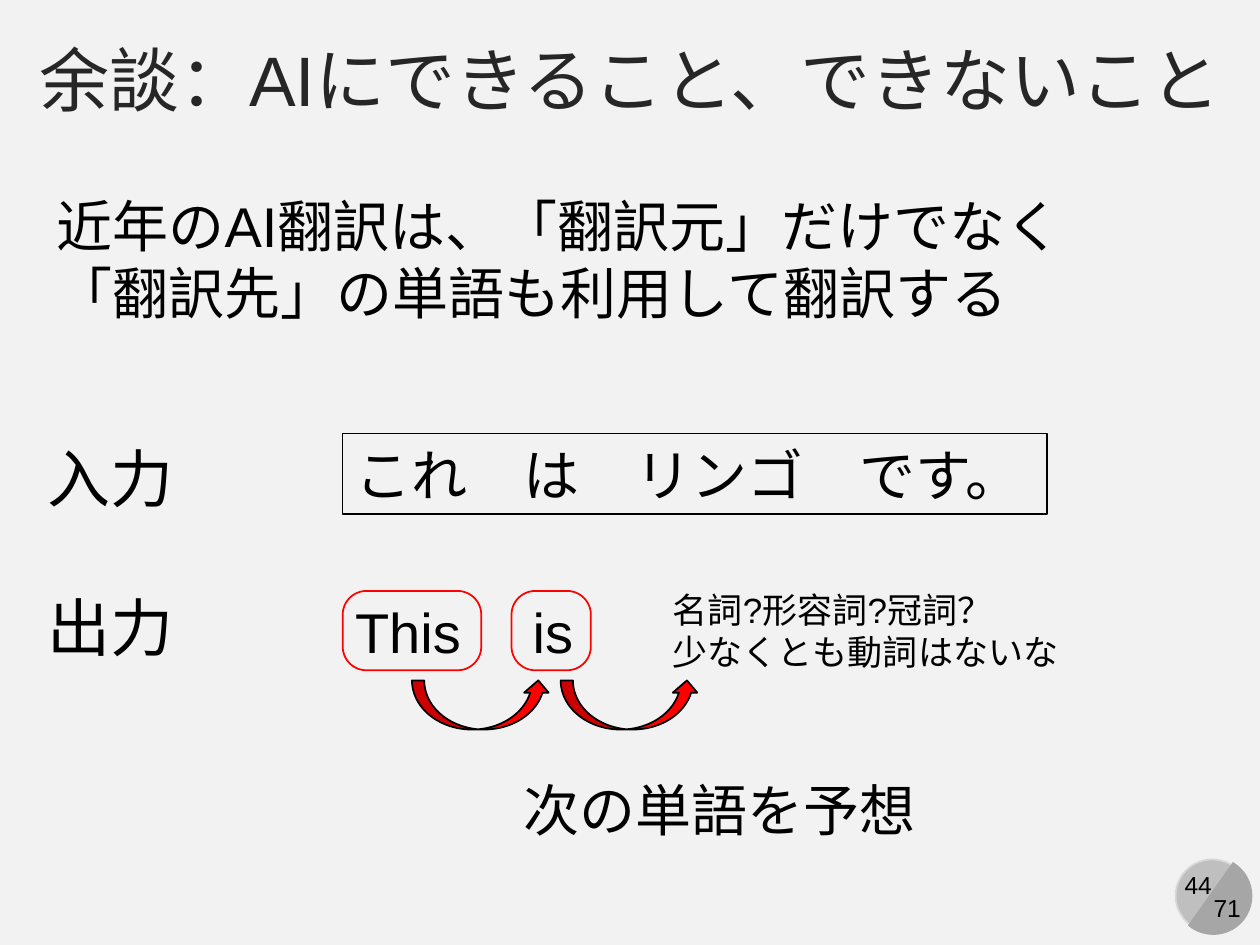
from pptx import Presentation
from pptx.dml.color import RGBColor
from pptx.enum.shapes import MSO_SHAPE
from pptx.enum.text import MSO_ANCHOR, MSO_AUTO_SIZE, PP_ALIGN
from pptx.util import Inches, Pt

RECTANGLE = MSO_SHAPE.RECTANGLE
ROUNDED = MSO_SHAPE.ROUNDED_RECTANGLE
ELLIPSE = MSO_SHAPE.OVAL
CHORD = MSO_SHAPE.CHORD
CURVED_ARROW = MSO_SHAPE.CURVED_UP_ARROW
MIDDLE = MSO_ANCHOR.MIDDLE
GROW = MSO_AUTO_SIZE.SHAPE_TO_FIT_TEXT
LEFT = PP_ALIGN.LEFT
CENTER = PP_ALIGN.CENTER

FONT = "Arial"
BLACK = "000000"
RED = "FF0000"


def rgb(value):
    return RGBColor.from_string(value)


def write(frame, lines, size, color=BLACK, align=LEFT, wrap=False):
    frame.word_wrap = wrap
    frame.auto_size = GROW
    for index, line in enumerate(lines):
        paragraph = frame.add_paragraph() if index else frame.paragraphs[0]
        paragraph.text = line
        paragraph.alignment = align
        paragraph.font.name = FONT
        paragraph.font.size = Pt(size)
        paragraph.font.color.rgb = rgb(color)


def add_text(slide, box, lines, size, **style):
    label = slide.shapes.add_textbox(*map(Inches, box))
    write(label.text_frame, lines, size, **style)
    return label


def add_figure(slide, kind, box, fill=None, line=None, width=1, adjustments=()):
    figure = slide.shapes.add_shape(kind, *map(Inches, box))
    figure.shadow.inherit = False
    for index, value in enumerate(adjustments):
        figure.adjustments[index] = value
    if fill:
        figure.fill.solid()
        figure.fill.fore_color.rgb = rgb(fill)
    else:
        figure.fill.background()
    if line:
        figure.line.color.rgb = rgb(line)
        figure.line.width = Pt(width)
    else:
        figure.line.fill.background()
    return figure


def add_page_badge(slide, left, top, size):
    add_figure(slide, ELLIPSE, (left, top, size, size), "BFBFBF", "D9D9D9")
    add_text(slide, (left - 0.04, top + 0.04, 0.44, 0.34), ["44"], 14, align=CENTER)
    half = add_figure(slide, CHORD, (left - 0.01, top - 0.02, size + 0.04, size + 0.04),
                      "A6A6A6", adjustments=(27, 141.424))
    half.rotation = 255
    add_text(slide, (left + 0.2, top + 0.22, 0.42, 0.34), ["71"], 14, align=CENTER)


def add_heading(slide, left, top, width, height):
    title = add_text(slide, (left, top, width, height), ["余談：AIにできること、できないこと"], 40,
                     color="262626", align=CENTER, wrap=True)
    title.text_frame.auto_size = MSO_AUTO_SIZE.NONE
    title.text_frame.vertical_anchor = MIDDLE


def add_summary(slide, left, top, width, height):
    add_text(slide, (left, top, width, height),
             ["近年のAI翻訳は、「翻訳元」だけでなく「翻訳先」の単語も利用して翻訳する"], 32, wrap=True)


def add_input_row(slide, left, top, content_left):
    sentence = add_figure(slide, RECTANGLE, (content_left, top, 5.59, 0.64), line=BLACK, width=0.75)
    write(sentence.text_frame, ["これ　は　リンゴ　です。"], 32)
    add_text(slide, (left, top, 1.21, 0.71), ["入力"], 36)


def add_output_row(slide, left, top, content_left):
    word_top = top + 0.07
    add_text(slide, (content_left, word_top, 2.07, 0.64), ["This 　is"], 32)
    add_text(slide, (left, top, 1.21, 0.71), ["出力"], 36)
    for offset, width in ((0, 1.1), (1.34, 0.63)):
        add_figure(slide, ROUNDED, (content_left + offset, word_top, width, 0.63),
                   line=RED, adjustments=(0.3,))
    for step in range(2):
        add_figure(slide, CURVED_ARROW,
                   (content_left + 0.55 + step * 1.18, top + 0.78, 1.1, 0.39), RED, BLACK)
    add_text(slide, (content_left + 1.34, top + 1.49, 3.34, 0.64), ["次の単語を予想"], 32)
    add_text(slide, (content_left + 2.52, top, 3.29, 0.77),
             ["名詞?形容詞?冠詞？", "少なくとも動詞はないな"], 20)


def main():
    presentation = Presentation()
    presentation.slide_width = Inches(10)
    presentation.slide_height = Inches(7.5)
    slide = presentation.slides.add_slide(presentation.slide_layouts[6])
    slide.background.fill.solid()
    slide.background.fill.fore_color.rgb = rgb("F2F2F2")

    add_page_badge(slide, 9.33, 6.82, 0.58)
    add_heading(slide, 0, 0.21, 10, 0.82)
    add_summary(slide, 0.35, 1.47, 9.06, 1.18)
    add_input_row(slide, 0.28, 3.44, 2.72)
    add_output_row(slide, 0.28, 4.62, 2.72)
    presentation.save("out.pptx")


if __name__ == "__main__":
    main()
